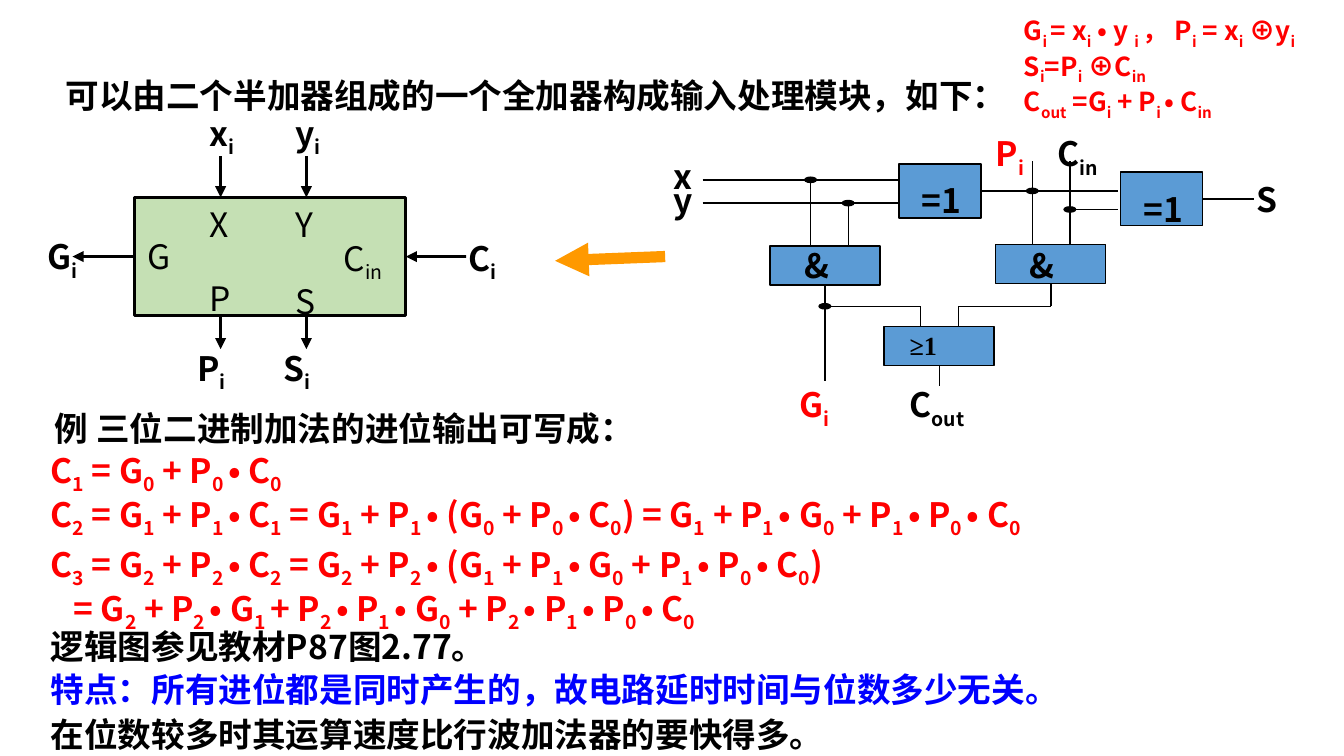
from lxml import etree
from pptx import Presentation
from pptx.dml.color import RGBColor
from pptx.enum.shapes import MSO_CONNECTOR, MSO_SHAPE
from pptx.enum.text import MSO_ANCHOR, MSO_AUTO_SIZE
from pptx.oxml.ns import qn
from pptx.util import Cm, Pt

RECT, OVAL = MSO_SHAPE.RECTANGLE, MSO_SHAPE.OVAL
STRAIGHT = MSO_CONNECTOR.STRAIGHT
GROW, NO_FIT = MSO_AUTO_SIZE.SHAPE_TO_FIT_TEXT, MSO_AUTO_SIZE.NONE
TOP, MIDDLE = MSO_ANCHOR.TOP, MSO_ANCHOR.MIDDLE
TOP_SIDE, LEFT_SIDE, BOTTOM_SIDE, RIGHT_SIDE = range(4)

COLORS = {"black": "000000", "red": "FF0000", "blue": "0000FF",
          "block": "C5E0B4", "gate": "5B9BD5", "arrow": "FF9900"}
LABEL_FONT, BODY_FONT, SERIF = "Noto Sans CJK SC", "Noto Sans CJK JP", "Times New Roman"
HANGING = {"marL": Cm(0.97), "indent": Cm(-0.97)}
CONTINUED = {"marL": Cm(0.97), "indent": Cm(-0.54)}


def rgb(name):
    return RGBColor.from_string(COLORS[name])


def add_runs(p, text, color="black", font=LABEL_FONT, size=18, bold=True):
    """Write text in which braces enclose subscripts."""
    fmt = {"name": font, "size": Pt(size), "bold": bold}
    for i, part in enumerate(text.replace("}", "{").split("{")):
        if not part:
            continue
        r = p.add_run()
        r.text = part
        r.font.color.rgb = rgb(color)
        for name, value in fmt.items():
            setattr(r.font, name, value)
        rPr = r._r.get_or_add_rPr()
        etree.SubElement(rPr, qn("a:ea")).set("typeface", font)
        if i % 2:
            rPr.set("baseline", "-25000")


def add_frame(shapes, x, y, w, h, fit=GROW, anchor=TOP):
    tf = shapes.add_textbox(Cm(x), Cm(y), Cm(w), Cm(h)).text_frame
    for name, value in {"word_wrap": True, "auto_size": fit,
                        "vertical_anchor": anchor}.items():
        setattr(tf, name, value)
    return tf


def add_label(shapes, text, x, y, w=1.63, h=1.02, **fmt):
    add_runs(add_frame(shapes, x, y, w, h).paragraphs[0], text, **fmt)


def add_solid(shapes, kind, x, y, w, h, color, width=0.75):
    sp = shapes.add_shape(kind, Cm(x), Cm(y), Cm(w), Cm(h))
    sp.shadow.inherit = False
    sp.fill.solid()
    sp.fill.fore_color.rgb = rgb(color)
    sp.line.color.rgb = rgb("black")
    sp.line.width = Pt(width)
    return sp


def add_line(shapes, x1, y1, x2, y2, width=0.75, color="black", arrow=False,
             begin=None, end=None):
    """Draw a line; begin and end are (shape, side) pairs to join."""
    cxn = shapes.add_connector(STRAIGHT, Cm(x1), Cm(y1), Cm(x2), Cm(y2))
    cxn.line.color.rgb = rgb(color)
    cxn.line.width = Pt(width)
    if arrow:
        etree.SubElement(cxn.line._get_or_add_ln(), qn("a:tailEnd")).set("type", "triangle")
    etree.SubElement(cxn._element.spPr, qn("a:effectLst"))
    if begin:
        cxn.begin_connect(*begin)
    if end:
        cxn.end_connect(*end)


def add_adder_block(shapes):
    block = add_solid(shapes, RECT, 2.54, 3.73, 5.13, 2.24, "block", 1.5)
    pin = {"width": 1.5, "arrow": True}
    for x in (4.17, 5.79):
        add_line(shapes, x, 2.95, x, 3.73, **pin)
        add_line(shapes, x, 5.97, x, 6.6, **pin)
    add_line(shapes, 2.54, 4.85, 1.37, 4.85, begin=(block, LEFT_SIDE), **pin)
    add_line(shapes, 8.81, 4.85, 7.67, 4.85, end=(block, RIGHT_SIDE), **pin)
    for text, x, y in (("X", 3.71, 3.73), ("Y", 5.33, 3.73), ("G", 2.54, 4.34),
                       ("P", 3.71, 5.13), ("S", 5.33, 5.18), ("C{in}", 6.25, 4.37)):
        add_label(shapes, text, x, y, bold=False)
    for text, x, y in (("x{i}", 3.71, 2.01), ("y{i}", 5.33, 2.01), ("G{i}", 0.64, 4.34),
                       ("C{i}", 8.61, 4.37), ("S{i}", 5.11, 6.45), ("P{i}", 3.48, 6.45)):
        add_label(shapes, text, x, y)


def add_circuit(shapes):
    xor1, xor2 = [add_solid(shapes, RECT, x, y, 1.55, 1.02, "gate")
                  for x, y in ((16.99, 3.1), (21.18, 3.25))]
    and1, and2, or1 = [add_solid(shapes, RECT, x, y, 2.08, 0.74, "gate")
                       for x, y in ((14.55, 4.65), (18.82, 4.62), (16.71, 6.17))]
    for x1, y1, x2, y2, begin in (
            (13.28, 3.4, 16.99, 3.4, None),
            (13.28, 3.84, 16.99, 3.84, None),
            (18.54, 3.61, 21.13, 3.61, (xor1, RIGHT_SIDE)),
            (20.22, 3.96, 21.13, 3.96, None),
            (15.32, 3.4, 15.32, 4.65, None),
            (16.03, 3.84, 16.03, 4.65, None),
            (19.51, 3.05, 19.51, 4.62, None),
            (20.22, 3.05, 20.22, 4.62, None),
            (22.73, 3.76, 23.7, 3.76, (xor2, RIGHT_SIDE)),
            (15.59, 5.39, 15.59, 7.21, (and1, BOTTOM_SIDE)),
            (19.86, 5.36, 19.86, 5.79, (and2, BOTTOM_SIDE)),
            (15.59, 5.79, 17.4, 5.79, None),
            (18.11, 5.79, 19.86, 5.79, None),
            (18.11, 5.79, 18.11, 6.17, None),
            (17.4, 5.79, 17.4, 6.17, None),
            (17.75, 6.91, 17.75, 7.29, (or1, BOTTOM_SIDE))):
        add_line(shapes, x1, y1, x2, y2, begin=begin)
    for x, y in ((20.22, 3.96), (19.51, 3.61), (16.03, 3.84), (15.32, 3.4), (15.59, 5.79)):
        add_solid(shapes, OVAL, x - 0.11, y - 0.05, 0.22, 0.1, "black")
    for text, x, y in (("=1", 17.17, 3.28), ("=1", 21.36, 3.45), ("&", 14.96, 4.5),
                       ("&", 19.2, 4.5), ("x", 12.47, 2.82), ("y", 12.47, 3.28),
                       ("S", 23.5, 3.25)):
        add_label(shapes, text, x, y)
    add_label(shapes, "P{i}", 18.57, 2.39, color="red")
    add_label(shapes, "G{i}", 14.86, 7.14, color="red")
    add_label(shapes, "C{in}", 19.74, 2.39, w=1.85)
    add_label(shapes, "C{out}", 16.94, 7.14, w=2.79)
    add_label(shapes, "≥1", 16.94, 6.1, h=0.86, font=SERIF, size=14)


def add_paragraphs(tf, rows, **fmt):
    """Fill a frame from (text, color, line spacing, space before, indents) rows."""
    for i, (text, color, spacing, before, indents) in enumerate(rows):
        p = tf.add_paragraph() if i else tf.paragraphs[0]
        p.line_spacing = spacing
        p.space_before = Pt(before)
        for name, value in indents.items():
            p._p.get_or_add_pPr().set(name, str(value))
        add_runs(p, text, color, BODY_FONT, **fmt)


def main():
    prs = Presentation()
    prs.slide_width, prs.slide_height = Cm(25.4), Cm(14.29)
    shapes = prs.slides.add_slide(prs.slide_layouts[6]).shapes

    add_adder_block(shapes.add_group_shape().shapes)
    add_label(shapes, "可以由二个半加器组成的一个全加器构成输入处理模块，如下：",
              0.99, 1.3, w=24.4, font=BODY_FONT)
    add_line(shapes, 12.57, 4.85, 10.49, 4.93, width=6, color="arrow", arrow=True)
    add_paragraphs(add_frame(shapes, 0.79, 7.54, 16.08, 1.19, NO_FIT, MIDDLE), [
        ("例 三位二进制加法的进位输出可写成：", "black", 0.9, 0, {})])
    add_paragraphs(add_frame(shapes, 0.71, 8.38, 24, 5.77, NO_FIT), [
        ("C{1} = G{0} + P{0 }• C{0}", "red", 0.95, 0, HANGING),
        ("C{2} = G{1} + P{1 }• C{1} = G{1} + P{1 }• (G{0} + P{0 }• C{0})"
         " = G{1} + P{1 }• G{0} + P{1 }• P{0 }• C{0}", "red", 0.95, 0, HANGING),
        ("C{3} = G{2} + P{2 }• C{2} = G{2} + P{2 }• (G{1} + P{1 }• G{0}"
         " + P{1 }• P{0 }• C{0})", "red", 0.95, 3.6, HANGING),
        ("= G{2} + P{2 }• G{1 }+ P{2 }• P{1 }• G{0} + P{2 }• P{1 }• P{0 }• C{0}",
         "red", 0.75, 3.6, CONTINUED),
        ("逻辑图参见教材P87图2.77。", "black", 0.75, 3.6, HANGING),
        ("特点：所有进位都是同时产生的，故电路延时时间与位数多少无关。",
         "blue", 0.95, 3.6, HANGING),
        ("在位数较多时其运算速度比行波加法器的要快得多。", "black", 0.95, 3.6, HANGING)])
    add_circuit(shapes.add_group_shape().shapes)
    add_paragraphs(add_frame(shapes, 19.1, 0.15, 6.3, 2.06), [
        ("G{i }= x{i} • y {i }， P{i} = x{i} ⊕y{i}", "red", 1, 0, {}),
        ("S{i}=P{i} ⊕C{in}", "red", 1, 0, {}),
        ("C{out} =G{i} + P{i }• C{in}", "red", 1, 0, {})], size=14)
    prs.save("out.pptx")


if __name__ == "__main__":
    main()
